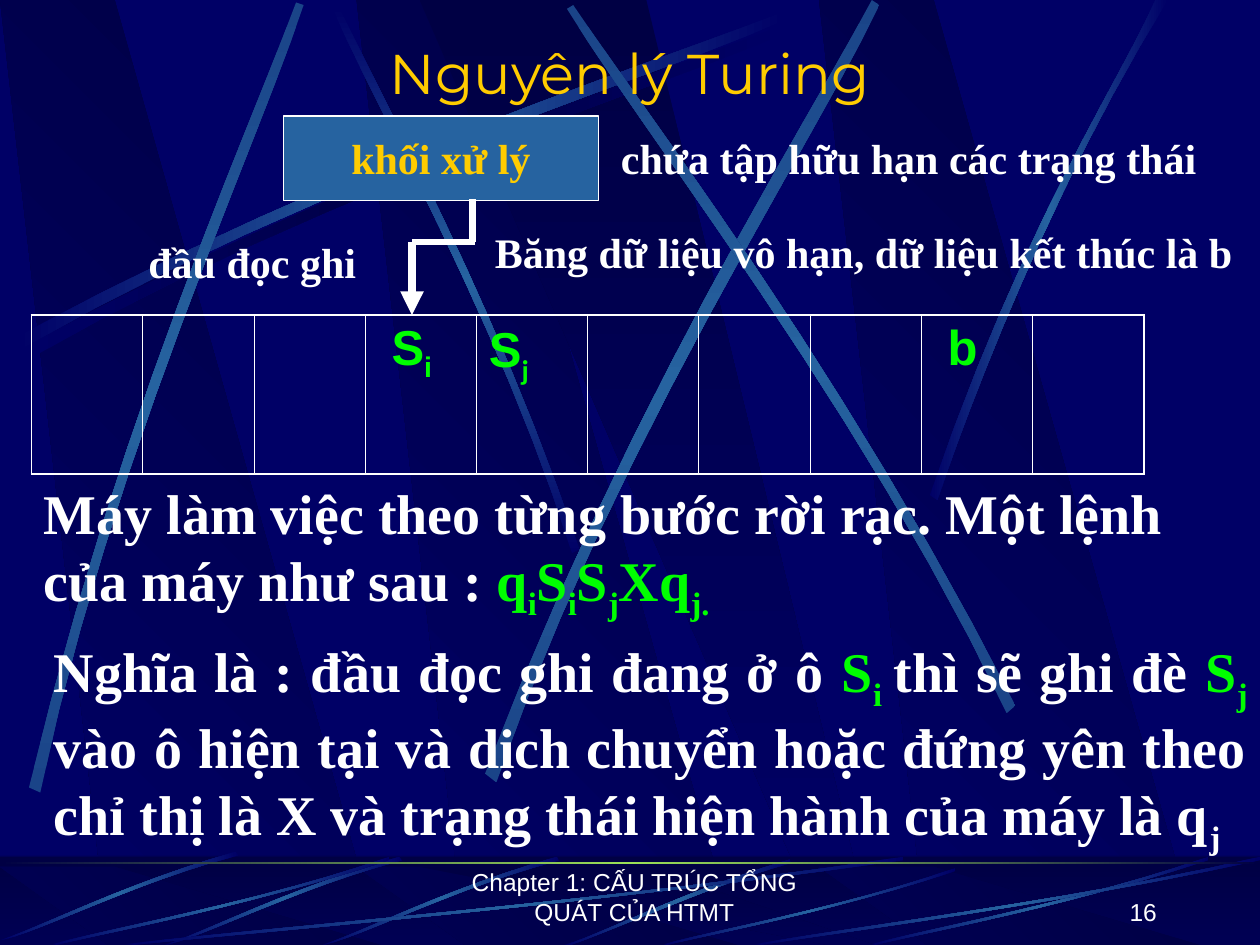
import pptx
import pptx.util
import pptx.dml.color
import pptx.enum.shapes
import pptx.enum.text
from lxml import etree
from pptx.oxml.ns import qn

Inches = pptx.util.Inches
SHAPE = pptx.enum.shapes.MSO_SHAPE
ALIGN = pptx.enum.text.PP_ALIGN
ANCHOR = pptx.enum.text.MSO_ANCHOR
C = {"navy": "000066", "dark": "000044", "blue": "2663A0", "dim": "1A4488",
     "lime": "9CE157", "gold": "FFCC00", "green": "00FF00", "white": "FFFFFF"}
RGB = {name: pptx.dml.color.RGBColor.from_string(value) for name, value in C.items()}
SERIF = "Times New Roman"

prs = pptx.Presentation()
prs.slide_width, prs.slide_height = Inches(10), Inches(7.5)
s = prs.slides.add_slide(prs.slide_layouts[5])
s.background.fill.solid()
s.background.fill.fore_color.rgb = RGB["navy"]


def add_gradient(sp, angle, *colours):
    """Fill a borderless shape with evenly spaced stops; angle runs clockwise."""
    sp.shadow.inherit = False
    sp.line.fill.background()
    sp.fill.gradient()
    grad = sp._element.spPr.find(qn("a:gradFill"))
    grad.find(qn("a:lin")).set("ang", str(angle * 60000))
    stops = grad.find(qn("a:gsLst"))
    for gs in list(stops):
        stops.remove(gs)
    for i, colour in enumerate(colours):
        gs = etree.SubElement(stops, qn("a:gs"), pos=str(i * 100000 // (len(colours) - 1)))
        etree.SubElement(gs, qn("a:srgbClr"), val=C[colour])


def add_runs(tf, runs, size, font, align=ALIGN.LEFT):
    """Write (text, colour, bold, subscript) runs into the first paragraph."""
    p = tf.paragraphs[0]
    p.alignment = align
    for text, colour, bold, subscript in runs:
        r = p.add_run()
        r.text = text
        r.font.size, r.font.name, r.font.bold = pptx.util.Pt(size), font, bold
        r.font.color.rgb = RGB[colour]
        if subscript:
            r.font._element.set("baseline", "-25000")


# Background: dark bands, repeated flattened inside the footer strip
bands = [
    (135, [(3.69, 7.5), (5.85, 7.5), (3.74, 0), (2.83, 0)]),
    (135, [(0.86, 7.5), (3.02, 7.5), (0.91, 0), (0, 0)]),
    (135, [(7.36, 7.5), (9.52, 7.5), (7.41, 0), (6.5, 0)]),
    (90, [(3.33, 0), (6.58, 7.5), (6.94, 7.5), (5.13, 0)]),
]
polygons = [(angle, pts, ("dark", "navy")) for angle, pts in bands]

# Streaks: two Bezier edges of four points each
sweep = [(0.14, 2.67), (2.78, 1.25), (5.18, 0.51), (6.2, 0.1),
         (6.23, 0.16), (5.22, 0.61), (2.48, 1.43), (0.17, 2.77)]
glow, faint, bright = ("navy", "blue", "navy"), ("navy", "dark", "navy"), ("dim", "blue", "dim")
streaks = [
    (0, [(x + 0.06, y + 0.08) for x, y in sweep], faint),
    (90, [(4.6, 4.36), (3.91, 2.34), (3.02, 0.77), (2.69, 0.05),
          (2.64, 0.07), (2.95, 0.79), (3.98, 2.58), (4.54, 4.39)], glow),
    (0, sweep, glow),
    (90, [(0.23, 6.25), (0.93, 3.34), (1.97, 1.05), (2.35, 0.02),
          (2.41, 0.04), (2.07, 1.08), (0.86, 3.68), (0.32, 6.29)], bright),
    (90, [(3.85, 6.14), (4.98, 3.2), (6.38, 1.02), (6.92, 0),
          (6.98, 0.04), (6.49, 1.08), (4.86, 3.55), (3.94, 6.21)], bright),
    (90, [(8.06, 5.6), (6.7, 2.93), (5.16, 0.95), (4.55, 0.04),
          (4.5, 0.07), (5.07, 1.01), (6.85, 3.25), (7.99, 5.66)], bright),
    (0, [(7.38, 3.93), (8.14, 1.73), (8.88, 0.66), (9.17, 0),
         (9.27, 0), (8.36, 1.45), (7.69, 3.22), (7.44, 3.97)], glow),
]
footer_streaks = [
    (0, [(6.27, 6.82), (5.37, 7.09), (4.77, 7.42), (4.48, 7.5),
         (4.53, 7.5), (4.9, 7.37), (5.71, 7), (6.28, 6.85)], glow)]
short = [(4.42, 6.8), (3.55, 7.05), (2.87, 7.4), (2.56, 7.5),
         (2.57, 7.5), (2.88, 7.43), (3.65, 7.03), (4.44, 6.83)]
for dx, dy in [(0, 0), (-1.25, 0), (-2.55, -0.04)]:
    footer_streaks.append((0, [(x + dx, y + dy) for x, y in short], glow))
unit_streak = [(1, 0.04), (0.57, 0.57), (0.17, 0.85), (0.01, 1),
               (0, 0.99), (0.17, 0.81), (0.62, 0.51), (1, 0)]
for x0, y0, w in [(1, 6.8, 6.17), (0.42, 6.8, 2.67), (5.27, 6.89, 2.31),
                  (6.92, 6.8, 2.67), (6, 6.8, 4)]:
    footer_streaks.append((0, [(x0 + x * w, y0 + y * (7.5 - y0)) for x, y in unit_streak], glow))

footer_bands = [(angle, [(x, 6.88 + y * 0.62 / 7.5) for x, y in pts], ("dark", "navy"))
                for angle, pts in bands]
STEPS = 12
for layer, curves in [(polygons, streaks), (footer_bands, footer_streaks)]:
    if layer is footer_bands:
        sp = s.shapes.add_shape(SHAPE.RECTANGLE, 0, Inches(6.8), Inches(10), Inches(0.7))
        add_gradient(sp, 90, "dark", "navy")
    outlines = list(layer)
    for angle, ctrl, colours in curves:
        pts = []
        for a, b, c, d in (ctrl[:4], ctrl[4:]):
            for i in range(STEPS + 1):
                t = i / STEPS
                pts.append(tuple((1 - t) ** 3 * a[k] + 3 * t * (1 - t) ** 2 * b[k]
                                 + 3 * t * t * (1 - t) * c[k] + t ** 3 * d[k] for k in (0, 1)))
        outlines.append((angle, pts, colours))
    for i, (angle, pts, colours) in enumerate(outlines):
        if layer is footer_bands and i == len(layer):
            veil = s.shapes.add_shape(SHAPE.RECTANGLE, 0, Inches(6.79), Inches(10), Inches(0.71))
            veil.shadow.inherit = False
            veil.line.fill.background()
            veil.fill.solid()
            veil.fill.fore_color.rgb = RGB["dark"]
            etree.SubElement(veil._element.spPr.find(".//" + qn("a:srgbClr")),
                             qn("a:alpha"), val="50000")
        emu = [(Inches(x), Inches(y)) for x, y in pts]
        builder = s.shapes.build_freeform(*emu[0])
        builder.add_line_segments(emu[1:], close=True)
        add_gradient(builder.convert_to_shape(), angle, *colours)
sp = s.shapes.add_shape(SHAPE.RECTANGLE, 0, Inches(6.84), Inches(10), Inches(0.02))
add_gradient(sp, 0, "dark", "lime", "dark")

# Title, raised in front of the background
title = s.shapes.title
s.shapes._spTree.append(title._element)
title.left, title.top, title.width, title.height = map(Inches, (0.75, 0.25, 8.5, 0.64))
title.text_frame.vertical_anchor = ANCHOR.MIDDLE
add_runs(title.text_frame, [("Nguyên lý Turing", "gold", False, False)], 32, "Montserrat", ALIGN.CENTER)

# Tape
tape = s.shapes.add_table(1, 10, Inches(0.25), Inches(2.5), Inches(8.83), Inches(1.26)).table
tape.first_row = tape.horz_banding = False
symbols = {3: ("S", "i", "Arial", 0.21), 4: ("S", "j", "Calibri", 0.1), 8: ("b", "", "Arial", 0.21)}
for col in range(10):
    cell = tape.cell(0, col)
    outer = {"lnT", "lnB", "lnL" if col == 0 else "", "lnR" if col == 9 else ""}
    for side in ("lnL", "lnR", "lnT", "lnB"):
        ln = etree.SubElement(cell._tc.get_or_add_tcPr(), qn("a:" + side),
                              w=str(pptx.util.Pt(1.08 if side in outer else 0.45)))
        etree.SubElement(etree.SubElement(ln, qn("a:solidFill")), qn("a:srgbClr"), val=C["white"])
    cell.fill.background()
    if col in symbols:
        letter, index, index_font, margin = symbols[col]
        cell.margin_left = Inches(margin)
        add_runs(cell.text_frame, [(letter, "green", True, False)], 28, "Arial")
        if index:
            add_runs(cell.text_frame, [(index, "green", True, True)], 28, index_font)

# Processing unit and read/write head
unit = s.shapes.add_shape(SHAPE.RECTANGLE, Inches(2.25), Inches(0.92), Inches(2.5), Inches(0.67))
unit.shadow.inherit = False
unit.fill.solid()
unit.fill.fore_color.rgb = RGB["blue"]
unit.line.color.rgb = RGB["white"]
unit.line.width = pptx.util.Pt(0.75)
unit.text_frame.vertical_anchor = ANCHOR.MIDDLE
add_runs(unit.text_frame, [("khối xử lý", "gold", True, False)], 24, SERIF, ALIGN.CENTER)

for x1, y1, x2, y2, width, arrow in [(3.27, 1.92, 3.27, 2.5, 4.5, True),
                                     (3.27, 1.92, 3.77, 1.92, 3, False),
                                     (3.75, 1.92, 3.75, 1.58, 4.5, False)]:
    line = s.shapes.add_connector(pptx.enum.shapes.MSO_CONNECTOR.STRAIGHT,
                                  Inches(x1), Inches(y1), Inches(x2), Inches(y2))
    line.line.color.rgb = RGB["white"]
    line.line.width = pptx.util.Pt(width)
    if arrow:
        etree.SubElement(line.line._get_or_add_ln(), qn("a:tailEnd"), type="triangle")
    etree.SubElement(line._element.spPr, qn("a:effectLst"))

# Text boxes: place, size, font, alignment, anchor, runs
command = [(text, "green", True, sub) for text, sub in
           [("q", False), ("i", True), ("S", False), ("i", True), ("S", False),
            ("j", True), ("Xq", False), ("j.", True)]]
meaning = [
    ("Nghĩa là : đầu đọc ghi đang ở ô ", "white", True, False),
    ("S", "green", True, False), ("i ", "green", True, True),
    ("thì sẽ ghi đè ", "white", True, False),
    ("S", "green", True, False), ("j ", "green", True, True),
    ("vào ô hiện tại và dịch chuyển hoặc đứng yên theo chỉ thị là X "
     "và trạng thái hiện hành của máy là q", "white", True, False),
    ("j", "white", True, True)]
intro = "Máy làm việc theo từng bước rời rạc. Một lệnh của máy như sau : "
boxes = [
    ((0.25, 3.75, 9.17, 1.24), 32, SERIF, ALIGN.LEFT, ANCHOR.TOP,
     [(intro, "white", True, False)] + command),
    ((0.33, 5, 9.67, 1.85), 32, SERIF, ALIGN.JUSTIFY, ANCHOR.TOP, meaning),
    ((3.45, 6.9, 3.17, 0.5), 14, "Arial", ALIGN.CENTER, ANCHOR.BOTTOM,
     [("Chapter 1: CẤU TRÚC TỔNG QUÁT CỦA HTMT", "white", False, False)]),
    ((7.2, 6.9, 2.08, 0.5), 14, "Arial", ALIGN.RIGHT, ANCHOR.BOTTOM, [("16", "white", False, False)]),
]
for place, label in [((1.08, 1.83, 2.17, 0.5), "đầu đọc ghi"),
                     ((4.83, 1, 4.92, 0.5), "chứa tập hữu hạn các trạng thái"),
                     ((3.83, 1.75, 6.17, 0.5), "Băng dữ liệu vô hạn, dữ liệu kết thúc là b")]:
    boxes.append((place, 24, SERIF, ALIGN.LEFT, ANCHOR.TOP, [(label, "white", True, False)]))
for place, size, font, align, anchor, runs in boxes:
    tf = s.shapes.add_textbox(*map(Inches, place)).text_frame
    tf.word_wrap = True
    tf.vertical_anchor = anchor
    add_runs(tf, runs, size, font, align)

prs.save("out.pptx")
